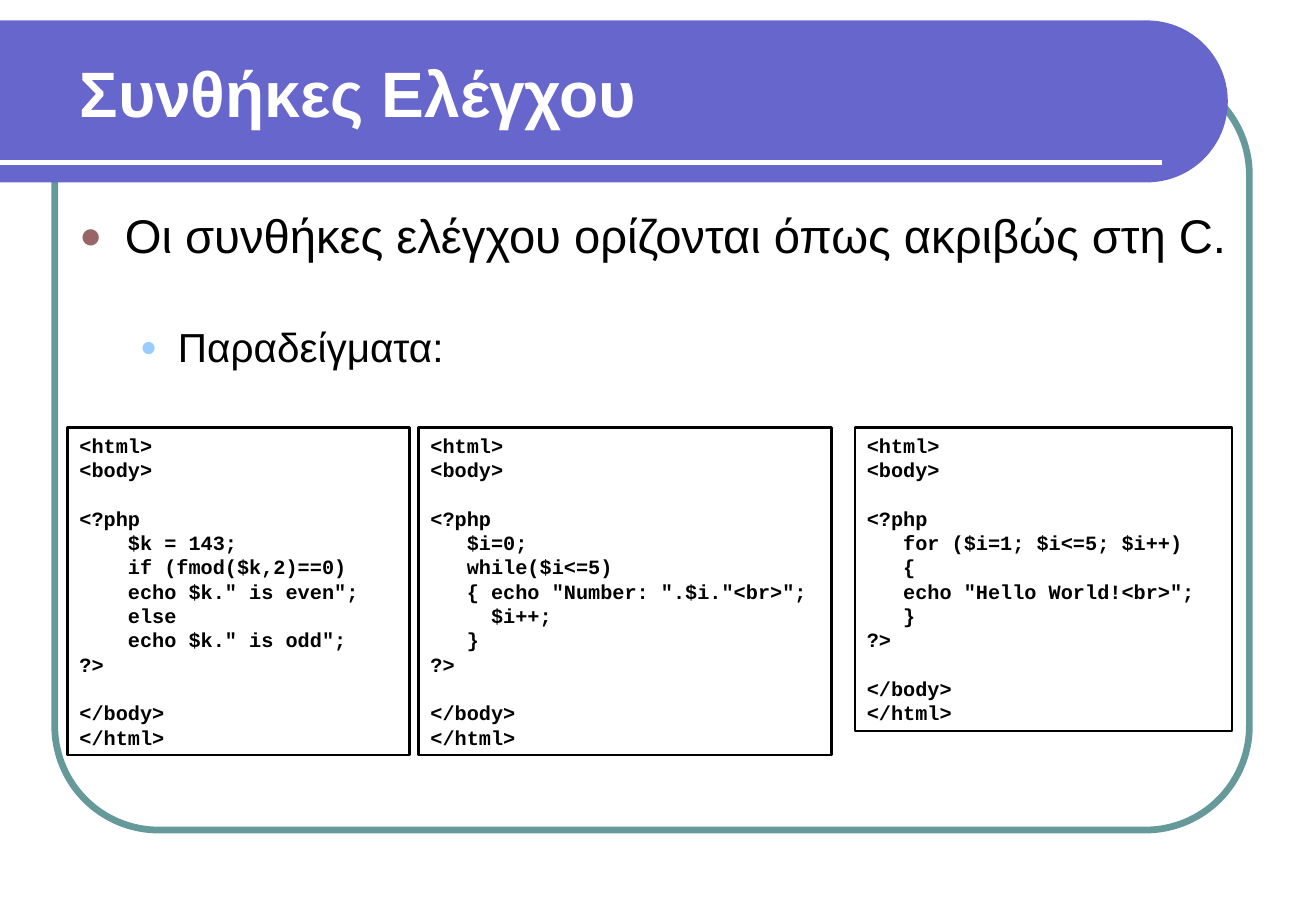
from collections import namedtuple
from math import cos, pi, sin

from pptx import Presentation
from pptx.dml.color import RGBColor
from pptx.enum.shapes import MSO_CONNECTOR as Connector, MSO_SHAPE as Preset
from pptx.enum.text import MSO_ANCHOR as Anchor, MSO_AUTO_SIZE as AutoSize, PP_ALIGN as Align
from pptx.oxml.ns import qn
from pptx.util import Pt
from lxml.etree import SubElement

BLACK = RGBColor(0x00, 0x00, 0x00)
WHITE = RGBColor(0xFF, 0xFF, 0xFF)
VIOLET = RGBColor(0x66, 0x66, 0xCC)
TEAL = RGBColor(0x66, 0x99, 0x99)
BROWN = RGBColor(0x99, 0x66, 0x66)
SKY = RGBColor(0x99, 0xCC, 0xFF)

Box = namedtuple("Box", "left top width height")

CODE_SIZE = 12
CODE_PITCH = 14.4

EVEN_ODD = """<html>
<body>

<?php
    $k = 143;
    if (fmod($k,2)==0)
    echo $k." is even";
    else
    echo $k." is odd";
?>

</body>
</html>"""

WHILE_LOOP = """<html>
<body>

<?php
   $i=0;
   while($i<=5)
   { echo "Number: ".$i."<br>";
     $i++;
   }
?>

</body>
</html>"""

FOR_LOOP = """<html>
<body>

<?php
   for ($i=1; $i<=5; $i++)
   {
   echo "Hello World!<br>";
   }
?>

</body>
</html>"""


def points(box):
    return [Pt(length) for length in box]


def add_run(paragraph, text, font_name, size, color, bold=False):
    run = paragraph.add_run()
    run.text = text
    run.font.name = font_name
    run.font.size = Pt(size)
    run.font.bold = bold
    run.font.color.rgb = color


def add_bullet(paragraph, color, percent, margin, hanging):
    properties = paragraph._p.get_or_add_pPr()
    properties.set("marL", str(Pt(margin)))
    properties.set("indent", str(-Pt(hanging)))
    bullet_color = SubElement(properties, qn("a:buClr"))
    SubElement(bullet_color, qn("a:srgbClr"), val=str(color))
    SubElement(properties, qn("a:buSzPct"), val=str(percent * 1000))
    SubElement(properties, qn("a:buFont"), typeface="Arial")
    SubElement(properties, qn("a:buChar"), char="●")


def add_frame(slide, box):
    frame = slide.shapes.add_shape(Preset.ROUNDED_RECTANGLE, *points(box))
    frame.adjustments[0] = 0.137
    frame.shadow.inherit = False
    frame.fill.background()
    frame.line.color.rgb = TEAL
    frame.line.width = Pt(4)


def add_banner(slide, box):
    radius = box.height / 2
    center_x = box.left + box.width - radius
    center_y = box.top + radius
    steps = 60
    angles = [pi * step / steps - pi / 2 for step in range(steps + 1)]
    outline = [
        (Pt(center_x + radius * cos(angle)), Pt(center_y + radius * sin(angle)))
        for angle in angles
    ]
    outline.append((Pt(box.left), Pt(box.top + box.height)))
    builder = slide.shapes.build_freeform(Pt(box.left), Pt(box.top))
    builder.add_line_segments(outline, close=True)
    banner = builder.convert_to_shape()
    banner.shadow.inherit = False
    banner.fill.solid()
    banner.fill.fore_color.rgb = VIOLET
    banner.line.fill.background()

    rule_y = Pt(box.top + box.height - 12)
    rule = slide.shapes.add_connector(
        Connector.STRAIGHT, Pt(box.left), rule_y, Pt(box.left + box.width - 39), rule_y
    )
    rule.line.color.rgb = WHITE
    rule.line.width = Pt(3)
    SubElement(rule._element.spPr, qn("a:effectLst"))


def add_title(slide, box, text):
    title = slide.shapes.title
    slide.shapes._spTree.append(title._element)
    title.left, title.top, title.width, title.height = points(box)
    frame = title.text_frame
    frame.word_wrap = True
    frame.auto_size = AutoSize.NONE
    frame.vertical_anchor = Anchor.MIDDLE
    paragraph = frame.paragraphs[0]
    paragraph.alignment = Align.LEFT
    add_run(paragraph, text, "Arial", 38, WHITE, bold=True)


def add_body(slide, box, statement, example_label):
    frame = slide.shapes.add_textbox(*points(box)).text_frame
    frame.word_wrap = True
    first = frame.paragraphs[0]
    first.line_spacing = 0.9
    add_bullet(first, BROWN, 80, margin=27, hanging=27)
    add_run(first, statement, "Arial", 28, BLACK)
    second = frame.add_paragraph()
    second.level = 1
    second.line_spacing = 0.9
    second.space_before = Pt(38)
    add_bullet(second, SKY, 70, margin=58.5, hanging=22.5)
    add_run(second, example_label, "Arial", 24, BLACK)


def add_code(slide, box, code):
    panel = slide.shapes.add_shape(Preset.RECTANGLE, *points(box))
    panel.shadow.inherit = False
    panel.fill.background()
    panel.line.color.rgb = BLACK
    panel.line.width = Pt(1.5)
    frame = panel.text_frame
    frame.word_wrap = True
    frame.vertical_anchor = Anchor.TOP
    paragraph = frame.paragraphs[0]
    for block_index, block in enumerate(code.split("\n\n")):
        for line_index, line in enumerate(block.split("\n")):
            if block_index or line_index:
                paragraph = frame.add_paragraph()
            if block_index and line_index == 0:
                paragraph.space_before = Pt(CODE_PITCH)
            paragraph.alignment = Align.LEFT
            paragraph.line_spacing = Pt(CODE_PITCH)
            add_run(paragraph, line, "Courier New", CODE_SIZE, BLACK, bold=True)


def build_slide(presentation):
    slide = presentation.slides.add_slide(presentation.slide_layouts[5])
    add_frame(slide, Box(32.5, 42, 708.5, 450))
    add_banner(slide, Box(0, 12.1, 728.2, 96))
    add_title(slide, Box(40, 20.2, 702, 68.4), "Συνθήκες Ελέγχου")
    add_body(
        slide,
        Box(40, 122.4, 712, 130.3),
        "Οι συνθήκες ελέγχου ορίζονται όπως ακριβώς στη C.",
        "Παραδείγματα:",
    )
    panels = [(40, 203, EVEN_ODD), (248.2, 245, WHILE_LOOP), (507, 223.6, FOR_LOOP)]
    for left, width, code in panels:
        height = CODE_PITCH * len(code.split("\n")) + 7.2
        add_code(slide, Box(left, 253.3, width, height), code)


def main():
    presentation = Presentation()
    presentation.slide_width = Pt(780.48)
    presentation.slide_height = Pt(540)
    build_slide(presentation)
    presentation.save("out.pptx")


if __name__ == "__main__":
    main()
